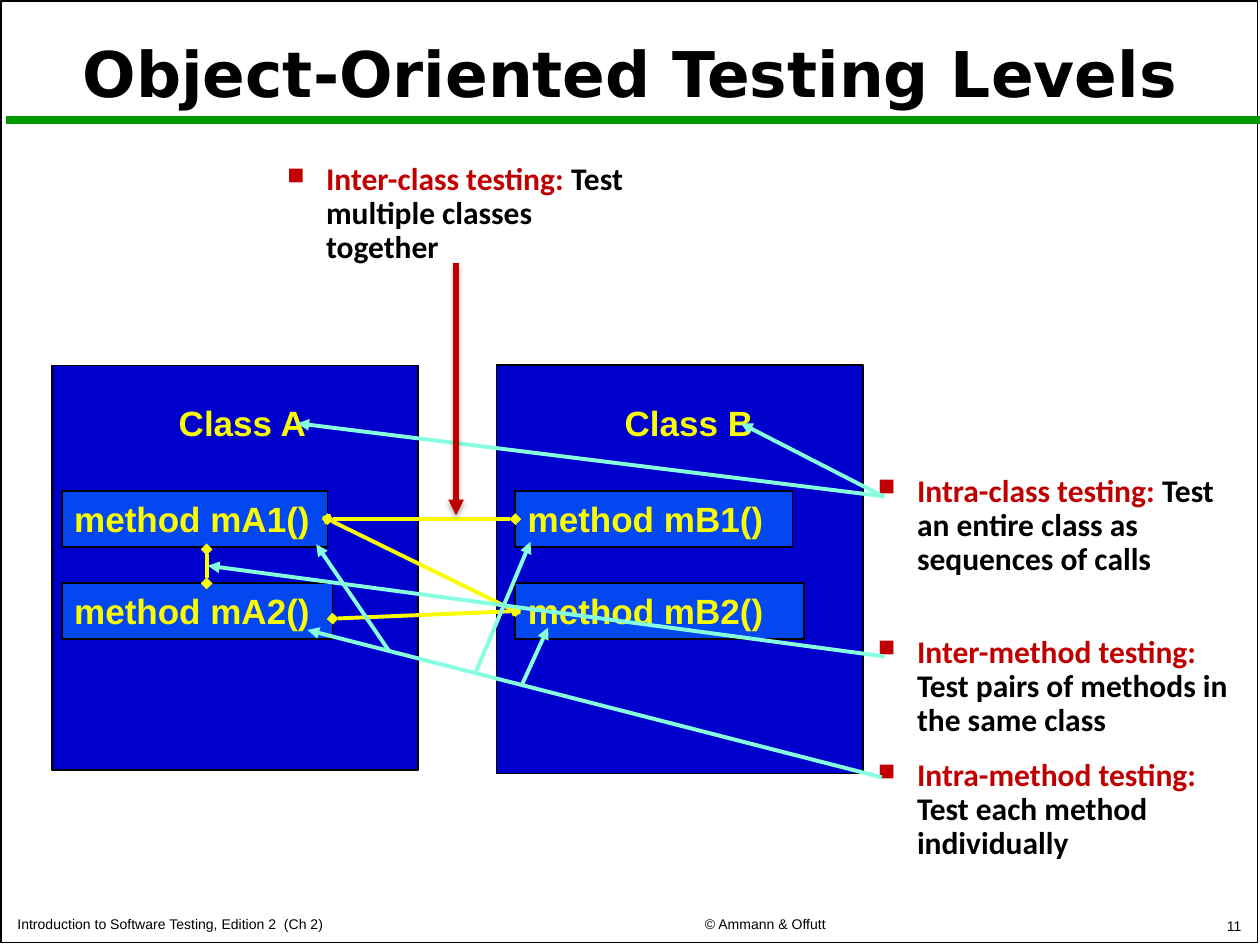
from dataclasses import dataclass
from typing import Optional

from lxml import etree
from pptx import Presentation
from pptx.dml.color import RGBColor
from pptx.enum.shapes import MSO_CONNECTOR, MSO_SHAPE
from pptx.enum.text import MSO_ANCHOR, PP_ALIGN
from pptx.oxml.ns import qn
from pptx.util import Emu, Pt

LINE, RECT = MSO_CONNECTOR.STRAIGHT, MSO_SHAPE.RECTANGLE
TOP, MID, LOW = MSO_ANCHOR.TOP, MSO_ANCHOR.MIDDLE, MSO_ANCHOR.BOTTOM
LEFT, CENTER, RIGHT = PP_ALIGN.LEFT, PP_ALIGN.CENTER, PP_ALIGN.RIGHT
EMU_PX = 9144  # 100 px to the inch
SIDE_L, SIDE_R = 1, 3
COLORS = {
    "ink": "000000", "rule": "009900", "class": "0000CC", "method": "0347F1",
    "yellow": "FAFD00", "cyan": "85FFE0", "red": "C00000",
}


@dataclass(frozen=True)
class Box:
    x: int
    y: int
    w: int
    h: int


@dataclass(frozen=True)
class Style:
    font: str
    size: int
    bold: bool = True
    align: PP_ALIGN = LEFT
    anchor: MSO_ANCHOR = TOP
    space: float = 1.0
    wrap: bool = True


@dataclass(frozen=True)
class Method:
    name: str
    box: Box


@dataclass(frozen=True)
class Group:
    name: str
    box: Box
    label: Box
    methods: tuple[Method, ...]


@dataclass(frozen=True)
class Note:
    term: str
    text: str
    box: Box


@dataclass(frozen=True)
class Link:
    start: tuple[int, int]
    end: tuple[int, int]
    color: str
    width: float = 2.25
    head: Optional[str] = None
    tail: Optional[str] = None
    source: Optional[str] = None
    target: Optional[str] = None


CODE = Style("Arial", 20)
LABEL = Style("Arial", 20, wrap=False)
NOTE = Style("Calibri", 18, space=0.9)
TITLE = Style("DejaVu Sans", 36, align=CENTER, anchor=MID, space=0.9)

GROUPS = [
    Group("Class A", Box(41, 290, 291, 321), Box(132, 314, 122, 44), (
        Method("method mA1()", Box(49, 390, 211, 44)),
        Method("method mA2()", Box(49, 463, 215, 44)))),
    Group("Class B", Box(394, 290, 291, 324), Box(486, 314, 123, 44), (
        Method("method mB1()", Box(409, 390, 220, 44)),
        Method("method mB2()", Box(409, 463, 229, 44)))),
]
NOTES = [
    Note("Inter-class testing: ", "Test multiple classes together",
         Box(218, 125, 303, 116)),
    Note("Intra-class testing: ", "Test an entire class as sequences of calls",
         Box(687, 372, 313, 121)),
    Note("Inter-method testing: ", "Test pairs of methods in the same class",
         Box(687, 500, 313, 91)),
    Note("Intra-method testing: ", "Test each method individually",
         Box(687, 598, 313, 87)),
]
FOOTERS = [
    ("Introduction to Software Testing, Edition 2  (Ch 2)", Box(4, 718, 420, 27), LEFT),
    ("© Ammann & Offutt", Box(449, 717, 317, 28), CENTER),
    ("11", Box(787, 717, 208, 29), RIGHT),
]


def pair(start: tuple[int, int], end: tuple[int, int],
         source: Optional[str] = None, target: Optional[str] = None) -> Link:
    return Link(start, end, "yellow", head="diamond", tail="diamond",
                source=source, target=target)


def point(start: tuple[int, int], end: tuple[int, int]) -> Link:
    return Link(start, end, "cyan", tail="triangle")


PAIRS = [
    pair((164, 436), (164, 463)),
    pair((260, 412), (409, 485), "method mA1()", "method mB2()"),
    pair((264, 491), (409, 485), target="method mB2()"),
    pair((260, 412), (409, 412), "method mA1()", "method mB1()"),
]
POINTS = [
    point((701, 394), (588, 336)),
    point((702, 394), (236, 336)),
    point((702, 521), (165, 449)),
    point((700, 617), (244, 500)),
    point((309, 517), (251, 432)),
    point((377, 535), (421, 430)),
    point((414, 544), (435, 498)),
]
RULE = Link((5, 95), (1002, 95), "rule", 4.5)
DROP = Link((362, 209), (362, 409), "red", 3, tail="triangle")


def px(n: int) -> Emu:
    return Emu(n * EMU_PX)


def place(box: Box) -> tuple[Emu, ...]:
    return px(box.x), px(box.y), px(box.w), px(box.h)


def tint(name: str) -> RGBColor:
    return RGBColor.from_string(COLORS[name])


def write(shape, runs: list[tuple[str, str]], style: Style):
    """Fill a shape with one paragraph of (text, colour) runs."""
    frame = shape.text_frame
    frame.word_wrap = style.wrap
    frame.vertical_anchor = style.anchor
    para = frame.paragraphs[0]
    para.alignment = style.align
    para.line_spacing = style.space
    for text, color in runs:
        run = para.add_run()
        run.text = text
        font = run.font
        font.name, font.size, font.bold = style.font, Pt(style.size), style.bold
        font.color.rgb = tint(color)
    return para


def label(slide, box: Box, runs: list[tuple[str, str]], style: Style):
    return write(slide.shapes.add_textbox(*place(box)), runs, style)


def panel(slide, box: Box, fill: Optional[str] = None):
    shape = slide.shapes.add_shape(RECT, *place(box))
    shape.shadow.inherit = False
    if fill:
        shape.fill.solid()
        shape.fill.fore_color.rgb = tint(fill)
    else:
        shape.fill.background()
    shape.line.color.rgb = tint("ink")
    shape.line.width = Pt(1)
    return shape


def bullet(slide, note: Note) -> None:
    para = label(slide, note.box, [(note.term, "red"), (note.text, "ink")], NOTE)
    props = para._p.get_or_add_pPr()
    props.set("marL", str(px(31)))
    props.set("indent", str(-px(31)))
    etree.SubElement(props, qn("a:buSzPct"), val="75000")
    etree.SubElement(props, qn("a:buChar"), char="■")


def draw(slide, link: Link, nodes: dict):
    """Draw a link and return its effect list."""
    wire = slide.shapes.add_connector(LINE, *map(px, link.start + link.end))
    if link.source:
        wire.begin_connect(nodes[link.source], SIDE_R)
    if link.target:
        wire.end_connect(nodes[link.target], SIDE_L)
    wire.line.color.rgb = tint(link.color)
    wire.line.width = Pt(link.width)
    stroke = wire.line._get_or_add_ln()
    for tag, kind in (("a:headEnd", link.head), ("a:tailEnd", link.tail)):
        if kind:
            etree.SubElement(stroke, qn(tag), type=kind)
    return etree.SubElement(wire._element.spPr, qn("a:effectLst"))


def shade(effects) -> None:
    cast = etree.SubElement(effects, qn("a:outerShdw"), blurRad=str(Pt(3.1)),
                            dist=str(Pt(1.8)), dir="5400000", rotWithShape="0")
    color = etree.SubElement(cast, qn("a:srgbClr"), val=COLORS["ink"])
    etree.SubElement(color, qn("a:alpha"), val="35000")


def main() -> None:
    deck = Presentation()
    deck.slide_width, deck.slide_height = px(1000), px(750)
    slide = deck.slides.add_slide(deck.slide_layouts[6])
    nodes = {}

    panel(slide, Box(1, 1, 997, 747))
    draw(slide, RULE, nodes)
    for text, box, align in FOOTERS:
        label(slide, box, [(text, "ink")], Style("Arial", 8, False, align, LOW))
    label(slide, Box(5, 11, 990, 100), [("Object-Oriented Testing Levels", "ink")], TITLE)

    for group in GROUPS:
        panel(slide, group.box, "class")
        label(slide, group.label, [(group.name, "yellow")], LABEL)
        for method in group.methods:
            node = nodes[method.name] = panel(slide, method.box, "method")
            write(node, [(method.name, "yellow")], CODE)
    for note in NOTES:
        bullet(slide, note)
    for link in PAIRS + POINTS:
        draw(slide, link, nodes)
    shade(draw(slide, DROP, nodes))
    deck.save("out.pptx")


if __name__ == "__main__":
    main()
